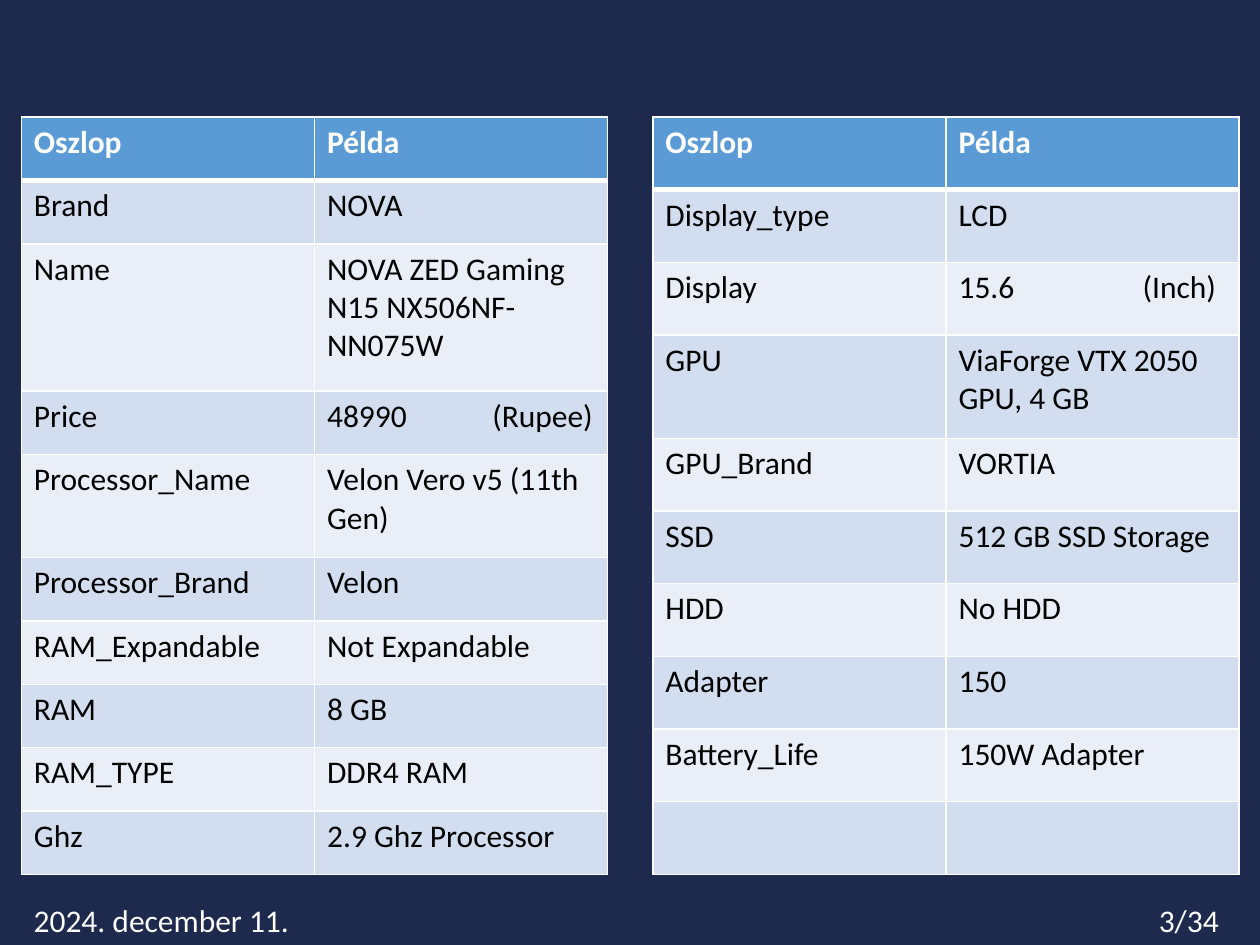
from lxml.etree import SubElement
from pptx import Presentation
from pptx.dml.color import RGBColor
from pptx.enum.text import PP_ALIGN
from pptx.oxml.ns import qn
from pptx.util import Cm, Pt

NAVY, BLUE, WHITE, BLACK = "1D294D", "5B9BD5", "FFFFFF", "000000"
BANDS = ("D2DEEF", "EAEFF7")
FONT, SIZE = "Calibri", 18

HEADINGS = ("Oszlop", "Példa")
SYSTEM_COLUMNS = [
    ("Brand", "NOVA"),
    ("Name", "NOVA ZED Gaming N15 NX506NF-NN075W"),
    ("Price", "48990\t(Rupee)"),
    ("Processor_Name", "Velon Vero v5 (11th Gen)"),
    ("Processor_Brand", "Velon"),
    ("RAM_Expandable", "Not Expandable"),
    ("RAM", "8 GB"),
    ("RAM_TYPE", "DDR4 RAM"),
    ("Ghz", "2.9 Ghz Processor"),
]
DEVICE_COLUMNS = [
    ("Display_type", "LCD"),
    ("Display", "15.6\t(Inch)"),
    ("GPU", "ViaForge VTX 2050 GPU, 4 GB"),
    ("GPU_Brand", "VORTIA"),
    ("SSD", "512 GB SSD Storage"),
    ("HDD", "No HDD"),
    ("Adapter", "150"),
    ("Battery_Life", "150W Adapter"),
    ("", ""),
]
# rows, left edge, heights of the taller rows, tab stop of the unit (cm)
TABLES = [
    (SYSTEM_COLUMNS, 0.43, {2: 2.97, 4: 2.08}, 3.33),
    (DEVICE_COLUMNS, 13.16, {3: 2.08}, 3.71),
]
TABLE_TOP, TABLE_WIDTH, TABLE_HEIGHT = 2.36, 11.82, 15.27

FOOTER = [
    ("2024. december 11.", 0.43, PP_ALIGN.LEFT),
    ("3/34", 19.1, PP_ALIGN.RIGHT),
]
FOOTER_TOP, FOOTER_WIDTH, FOOTER_HEIGHT = 18.03, 5.72, 1.02


def rgb(color):
    return RGBColor.from_string(color)


def write(frame, text, color=BLACK, bold=False, align=PP_ALIGN.LEFT, tab=None):
    frame.word_wrap = True
    paragraph = frame.paragraphs[0]
    paragraph.alignment = align
    if tab is not None:
        stops = SubElement(paragraph._p.get_or_add_pPr(), qn("a:tabLst"))
        SubElement(stops, qn("a:tab"), pos=str(Cm(tab)), algn="l")
    paragraph.font.size = Pt(SIZE)
    if text:
        run = paragraph.add_run()
        run.text = text
        run.font.name = FONT
        run.font.size = Pt(SIZE)
        run.font.bold = bold
        run.font.color.rgb = rgb(color)


def set_borders(cell, **widths):
    properties = cell._tc.get_or_add_tcPr()
    for side in "LRTB":
        line = SubElement(properties, qn(f"a:ln{side}"), w=str(Pt(widths.get(side, 1))))
        fill = SubElement(line, qn("a:solidFill"))
        SubElement(fill, qn("a:srgbClr"), val=WHITE)


def add_column_table(slide, entries, left, tall_rows, unit_tab):
    rows = [HEADINGS, *entries]
    table = slide.shapes.add_table(
        len(rows), len(HEADINGS), Cm(left), Cm(TABLE_TOP), Cm(TABLE_WIDTH), Cm(TABLE_HEIGHT)
    ).table
    plain_height = (TABLE_HEIGHT - sum(tall_rows.values())) / (len(rows) - len(tall_rows))
    for r, row in enumerate(rows):
        table.rows[r].height = Cm(tall_rows.get(r, plain_height))
        heading = r == 0
        for c, text in enumerate(row):
            cell = table.cell(r, c)
            set_borders(cell, T=3 if r == 1 else 1, B=3 if heading else 1)
            cell.fill.solid()
            cell.fill.fore_color.rgb = rgb(BLUE if heading else BANDS[(r - 1) % 2])
            write(cell.text_frame, text, color=WHITE if heading else BLACK,
                  bold=heading, tab=unit_tab if "\t" in text else None)


def main():
    deck = Presentation()
    deck.slide_width, deck.slide_height = Cm(25.4), Cm(19.05)
    slide = deck.slides.add_slide(deck.slide_layouts[6])
    slide.background.fill.solid()
    slide.background.fill.fore_color.rgb = rgb(NAVY)

    for table in TABLES:
        add_column_table(slide, *table)
    for text, left, align in FOOTER:
        box = slide.shapes.add_textbox(
            Cm(left), Cm(FOOTER_TOP), Cm(FOOTER_WIDTH), Cm(FOOTER_HEIGHT))
        write(box.text_frame, text, color=WHITE, align=align)

    deck.save("out.pptx")


if __name__ == "__main__":
    main()
